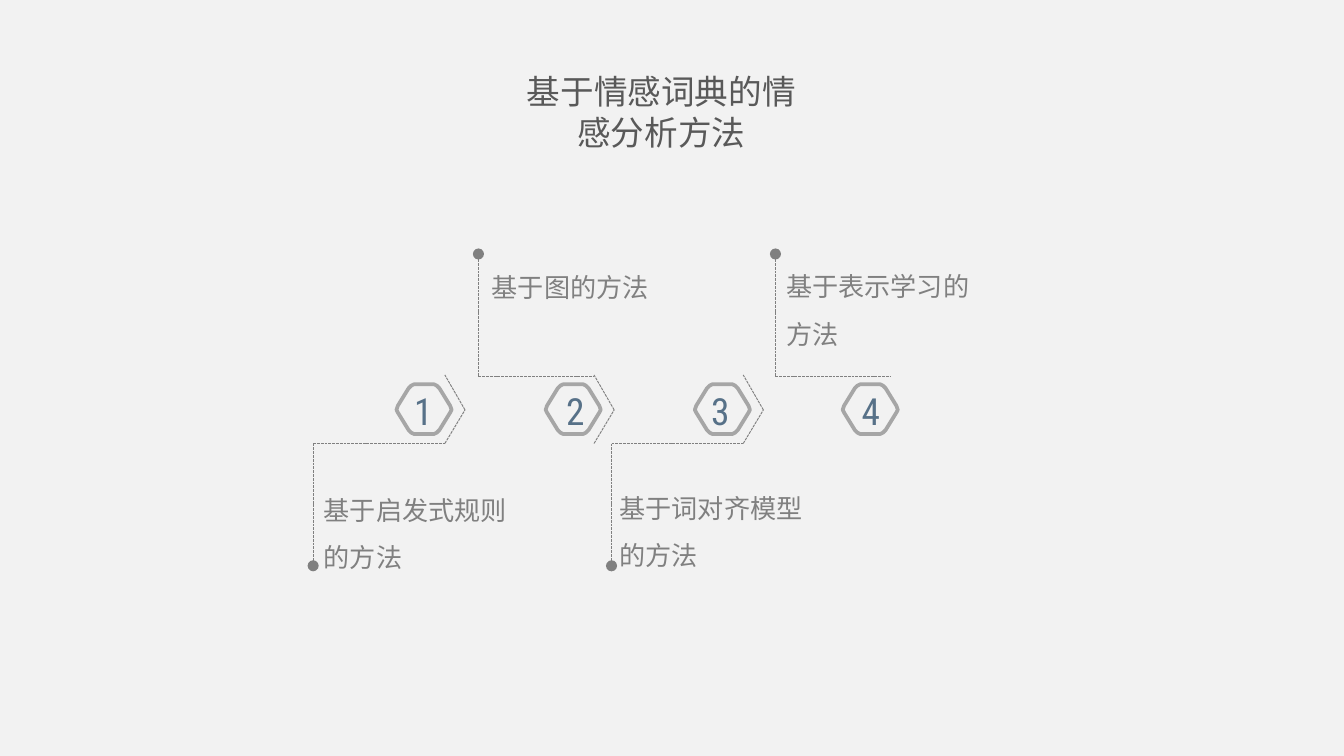
from lxml.etree import SubElement
from pptx import Presentation
from pptx.dml.color import RGBColor
from pptx.enum.dml import MSO_LINE
from pptx.enum.shapes import MSO_CONNECTOR
from pptx.enum.text import MSO_ANCHOR, MSO_AUTO_SIZE, PP_ALIGN
from pptx.oxml.ns import qn
from pptx.util import Inches, Pt

TITLE = "基于情感词典的情感分析方法"
STEPS = [
    ("1", 2.95, 2.91, "down", "基于启发式规则的方法", (2.31, 3.51, 1.68, 0.81)),
    ("2", 4.06, 4.04, "up", "基于图的方法", (3.56, 1.85, 1.68, 0.41)),
    ("3", 5.17, 5.12, "down", "基于词对齐模型的方法", (4.51, 3.5, 1.68, 0.81)),
    ("4", 6.27, 6.24, "up", "基于表示学习的方法", (5.75, 1.85, 1.68, 0.77)),
]
SIDES = {"down": (-0.62, 3.3, 4.21), "up": (-0.5, 2.8, 1.89)}
TOP, MID, LOW = 2.79, 3.05, 3.3
HEX_TOP, HEX_H = 2.86, 0.37
ARC = [(0, 0.19), (0.01, 0.16), (0.09, 0.03), (0.11, 0.01), (0.13, 0),
       (0.28, 0), (0.3, 0.01), (0.32, 0.03), (0.4, 0.16), (0.41, 0.19)]

BACK = RGBColor(0xF2, 0xF2, 0xF2)
DARK = RGBColor(0x59, 0x59, 0x59)
GREY = RGBColor(0x80, 0x80, 0x80)
PALE = RGBColor(0xA6, 0xA6, 0xA6)
BLUE = RGBColor(0x57, 0x71, 0x88)


def place(shape, box):
    shape.left, shape.top, shape.width, shape.height = map(Inches, box)


def write(shape, text, face, size, color, align, space=None):
    frame = shape.text_frame
    frame.word_wrap = True
    frame.auto_size = MSO_AUTO_SIZE.NONE
    frame.vertical_anchor = MSO_ANCHOR.TOP
    para = frame.paragraphs[0]
    para.alignment = align
    if space:
        para.line_spacing = space
    run = para.add_run()
    run.text = text
    run.font.name = face
    run.font.size = Pt(size)
    run.font.color.rgb = color
    SubElement(run._r.get_or_add_rPr(), qn("a:ea"), typeface=face)


def dash(shapes, start, end, dot=False):
    ends = [Inches(v) for v in (*start, *end)]
    link = shapes.add_connector(MSO_CONNECTOR.STRAIGHT, *ends)
    link.line.color.rgb = GREY
    link.line.width = Pt(0.5)
    link.line.dash_style = MSO_LINE.SQUARE_DOT
    props = link._element.spPr
    if dot:
        SubElement(props.find(qn("a:ln")), qn("a:tailEnd"), type="oval")
    SubElement(props, qn("a:effectLst"))


def badge(shapes, num, left, num_left):
    group = shapes.add_group_shape().shapes
    ring = ARC + [(x, HEX_H - y) for x, y in ARC[-2:0:-1]]
    pts = [(Inches(left + x), Inches(HEX_TOP + y)) for x, y in ring]
    pen = group.build_freeform(*pts[0])
    pen.add_line_segments(pts[1:], close=True)
    hexa = pen.convert_to_shape()
    hexa.shadow.inherit = False
    hexa.fill.background()
    hexa.line.color.rgb = PALE
    hexa.line.width = Pt(2)
    box = group.add_textbox(*map(Inches, (num_left, 2.84, 0.48, 0.44)))
    write(box, num, "Roboto Condensed", 20, BLUE, PP_ALIGN.CENTER)


def main():
    prs = Presentation()
    prs.slide_width = Inches(10)
    prs.slide_height = prs.slide_width * 9 // 16
    slide = prs.slides.add_slide(prs.slide_layouts[5])
    slide.background.fill.solid()
    slide.background.fill.fore_color.rgb = BACK
    shapes = slide.shapes

    place(shapes.title, (3.8, 0.48, 2.24, 0.71))
    write(shapes.title, TITLE, "Arial", 18, DARK, PP_ALIGN.CENTER)

    for num, left, num_left, side, label, area in STEPS:
        box = shapes.add_textbox(*map(Inches, area))
        write(box, label, "Noto Sans CJK SC", 14, GREY, PP_ALIGN.LEFT, 1.5)
        shift, rail, tip = SIDES[side]
        bend, edge = left + shift, left + 0.36
        dash(shapes, (bend, rail), (edge, rail))
        dash(shapes, (bend, rail), (bend, tip), dot=True)
        if num != STEPS[-1][0]:
            dash(shapes, (edge, LOW), (edge + 0.15, MID))
            dash(shapes, (edge + 0.15, MID), (edge, TOP))
        badge(shapes, num, left, num_left)

    prs.save("out.pptx")


if __name__ == "__main__":
    main()
